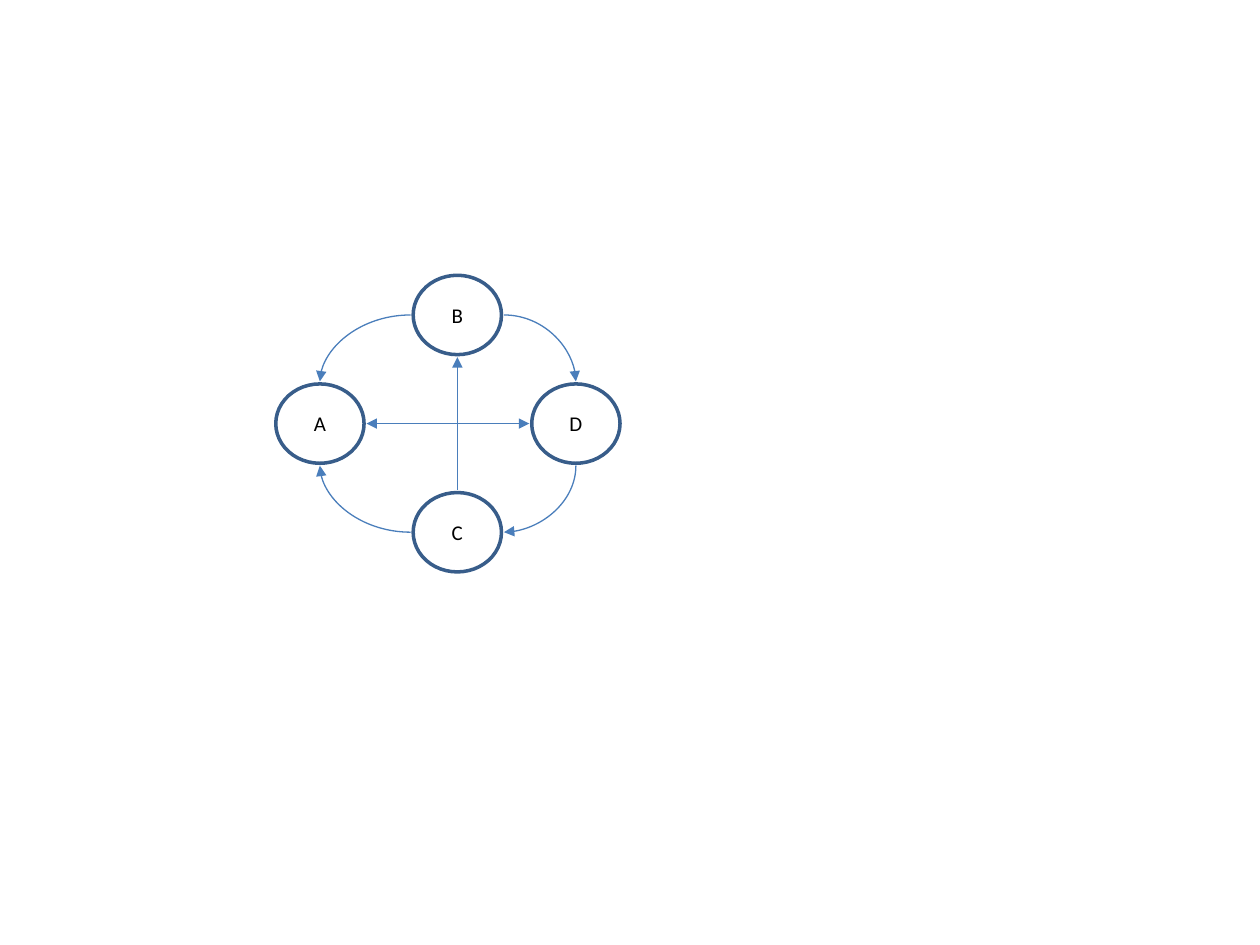
from pptx import Presentation
from pptx.dml.color import RGBColor
from pptx.enum.shapes import MSO_CONNECTOR, MSO_SHAPE
from pptx.enum.text import MSO_ANCHOR, PP_ALIGN
from pptx.oxml.ns import qn
from pptx.util import Cm, Pt
from lxml.etree import SubElement

COLORS = {"fill": "FFFFFF", "ring": "385D8A", "link": "4A7EBB", "text": "000000"}

# Node centres in cm
NODES = {"A": (6.45, 8.54), "B": (9.22, 6.35), "C": (9.22, 10.73), "D": (11.61, 8.54)}
RX, RY, GAP = 0.89, 0.8, 0.05

# Each link: start node and side, end node and side, arrowheads
LINKS = [
    ("A", "right", "D", "left", ("headEnd", "tailEnd")),
    ("B", "right", "D", "top", ("tailEnd",)),
    ("C", "left", "A", "bottom", ("tailEnd",)),
    ("B", "bottom", "C", "top", ("headEnd",)),
    ("B", "left", "A", "top", ("tailEnd",)),
    ("C", "right", "D", "bottom", ("headEnd",)),
]
SIDES = {"left": (-1, 0), "right": (1, 0), "top": (0, -1), "bottom": (0, 1)}


def color(name):
    return RGBColor.from_string(COLORS[name])


def write(shape, text, size=12, font="Calibri", ink="text"):
    frame = shape.text_frame
    frame.word_wrap = True
    frame.vertical_anchor = MSO_ANCHOR.MIDDLE
    para = frame.paragraphs[0]
    para.alignment = PP_ALIGN.CENTER
    run = para.add_run()
    run.text = text
    run.font.size = Pt(size)
    run.font.name = font
    run.font.color.rgb = color(ink)


def port(node, side):
    x, y = NODES[node]
    dx, dy = SIDES[side]
    return Cm(x + dx * (RX + GAP)), Cm(y + dy * (RY + GAP))


def add_node(slide, name):
    x, y = NODES[name]
    oval = slide.shapes.add_shape(
        MSO_SHAPE.OVAL, Cm(x - RX), Cm(y - RY), Cm(2 * RX), Cm(2 * RY))
    oval.shadow.inherit = False
    oval.fill.solid()
    oval.fill.fore_color.rgb = color("fill")
    oval.line.color.rgb = color("ring")
    oval.line.width = Pt(2)
    write(oval, name)


def add_link(slide, start, out, end, into, heads):
    link = slide.shapes.add_connector(
        MSO_CONNECTOR.CURVE, *port(start, out), *port(end, into))
    link.line.color.rgb = color("link")
    link.line.width = Pt(0.75)
    # Quarter-turn curve, arrowheads, no shadow
    props = link._element.spPr
    props.find(qn("a:prstGeom")).set("prst", "curvedConnector2")
    for head in heads:
        SubElement(props.find(qn("a:ln")), qn(f"a:{head}"), type="triangle")
    SubElement(props, qn("a:effectLst"))


def main():
    deck = Presentation()
    deck.slide_width, deck.slide_height = Cm(25.4), Cm(19.05)
    slide = deck.slides.add_slide(deck.slide_layouts[6])
    for name in NODES:
        add_node(slide, name)
    for link in LINKS:
        add_link(slide, *link)
    deck.save("out.pptx")


if __name__ == "__main__":
    main()
